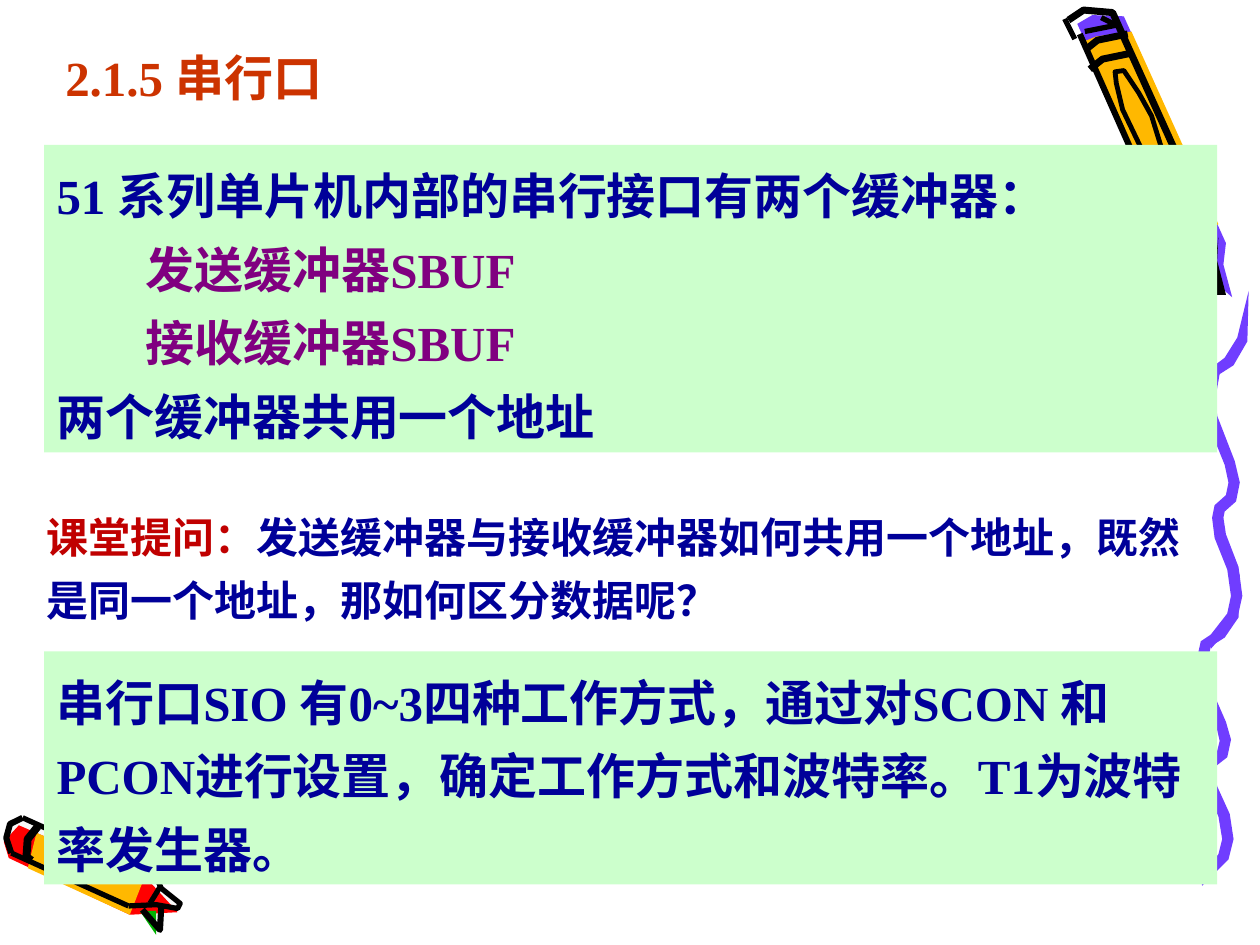
from math import hypot
from lxml.etree import SubElement
from pptx import Presentation
from pptx.dml.color import RGBColor
from pptx.enum.shapes import MSO_CONNECTOR, MSO_SHAPE
from pptx.enum.text import MSO_ANCHOR, MSO_AUTO_SIZE, PP_ALIGN
from pptx.oxml.ns import qn
from pptx.util import Pt

VIOLET, AMBER, RED, LEAF, WHITE, BLACK = "703DFF", "FFB800", "FF0000", "00B200", "F8F8F8", "000000"
NAVY, PURPLE, ORANGE, CRIMSON = "000099", "800080", "CC3300", "C00000"
MINT, PAPER = "CCFFCC", "FFFFFF"
LATIN, CHINESE = "Times New Roman", "Noto Sans CJK SC"
UNIT = Pt(0.72)


def color(value):
    return RGBColor.from_string(value)


def draw(group, points, fill=None, pen=None):
    builder = group.shapes.build_freeform(*points[0], scale=UNIT)
    builder.add_line_segments(points[1:], close=pen is None)
    shape = builder.convert_to_shape()
    shape.shadow.inherit = False
    if pen:
        shape.fill.background()
        shape.line.color.rgb = color(BLACK)
        shape.line.width = Pt(pen)
    else:
        shape.fill.solid()
        shape.fill.fore_color.rgb = color(fill)
        shape.line.fill.background()


deck = Presentation()
deck.slide_width, deck.slide_height = Pt(720), Pt(540)
page = deck.slides.add_slide(deck.slide_layouts[6])
crayon, waves, pencil = [page.shapes.add_group_shape() for drawing in range(3)]

rail_x, rail_y = 93, 42
eraser_top, eraser_bottom = (18, 649), (9, 677)
crayon_fills = [
    (WHITE, [(16, 649), (4, 664), (9, 676), (103, 720), (142, 718), (127, 705)]),
    (RED, [(15, 655), (119, 700), (141, 724), (103, 726), (7, 681), (3, 668)]),
    (AMBER, [(22, 689), (103, 726), (114, 698), (29, 661)]),
    (LEAF, [(124, 723), (124, 742), (111, 723)]),
]
for fill, points in crayon_fills:
    draw(crayon, points, fill)
for x, y in (eraser_top, eraser_bottom):
    draw(crayon, [(x, y), (x + rail_x, y + rail_y)], pen=3)
crayon_strokes = {
    "eraser end": (3.5, [eraser_top, (8, 654), (5, 665), eraser_bottom]),
    "collar": (4.5, [(30, 656), (22, 666), (21, 680), (25, 683)]),
    "sharpened end": (3, [(102, 719), (124, 718), (141, 721), (143, 717), (128, 705), (122, 692)]),
    "facet": (3, [(127, 704), (119, 717)]),
    "nib": (3.5, [(113, 722), (127, 738), (128, 719)]),
}
for pen, points in crayon_strokes.values():
    draw(crayon, points, pen=pen)

wave_edge = [(960, 505), (974, 487), (977, 473), (974, 452), (964, 427), (962, 411), (964, 401),
             (973, 393), (975, 383), (972, 369), (957, 332), (956, 313), (960, 293), (972, 284),
             (982, 268), (991, 231)]
wave_width = 9
far_edge = []
for (x, y), before, after in zip(wave_edge[1:], wave_edge, wave_edge[2:]):
    run, rise = after[0] - before[0], after[1] - before[1]
    reach = wave_width / hypot(run, rise)
    far_edge.append((x - rise * reach, y + run * reach))
upper_wave = wave_edge + far_edge[::-1] + [(961, 515)]
lower_wave = [(x - 7, 455 + (y - 231) * 0.873) for x, y in upper_wave]
for wave in (lower_wave, upper_wave):
    draw(waves, wave, VIOLET)

pencil_fills = {
    "cap and point": (VIOLET, [(855, 19), (937, 200), (978, 236), (971, 210), (973, 193),
                               (892, 13), (867, 12)]),
    "shaft": (AMBER, [(860, 33), (933, 193), (967, 178), (898, 25), (870, 29)]),
    "lead": (BLACK, [(967, 188), (965, 207), (965, 234), (973, 234), (966, 207)]),
}
for fill, points in pencil_fills.values():
    draw(pencil, points, fill)
pencil_strokes = {
    "left rail": (3.5, [(857, 27), (927, 185)]),
    "right rail and top": (4, [(960, 180), (883, 10), (860, 8), (848, 16)]),
    "rim": (3, [(861, 25), (886, 20), (874, 14)]),
    "grain": (2.75, [(911, 128), (903, 112), (891, 87), (886, 66), (885, 57), (892, 56),
                     (904, 74), (914, 92), (922, 118)]),
}
for pen, points in pencil_strokes.values():
    draw(pencil, points, pen=pen)
collar = [(861, 40), (871, 32), (895, 27)]
for drop in (0, 15):
    draw(pencil, [(x + drop / 4, y + drop) for x, y in collar], pen=4)

cap_edge = pencil.shapes.add_connector(
    MSO_CONNECTOR.STRAIGHT, 845 * UNIT, 15 * UNIT, 853 * UNIT, 31 * UNIT)
cap_edge.line.color.rgb = color(BLACK)
cap_edge.line.width = Pt(3)
SubElement(cap_edge._element.spPr, qn("a:effectLst"))

blocks = [
    ((25.2, 372.24, 670.32, 133.2), MINT, 28, 1.25, [
        (0, [("串行口SIO 有0~3四种工作方式，通过对SCON 和 PCON进行设置，确定工作方式和波特率。T1为波特率发生器。",
              NAVY, LATIN)]),
    ]),
    ((30.24, 23.76, 182.88, 41.04), None, 28, 1, [
        (0, [("2.1.5 ", ORANGE, LATIN), ("串行口", ORANGE, CHINESE)]),
    ]),
    ((25.2, 82.8, 670.32, 175.68), MINT, 28, 1.25, [
        (0, [("51 系列单片机内部的串行接口有两个缓冲器：", NAVY, LATIN)]),
        (51, [("发送缓冲器SBUF", PURPLE, LATIN)]),
        (51, [("接收缓冲器SBUF", PURPLE, LATIN)]),
        (0, [("两个缓冲器共用一个地址", NAVY, LATIN)]),
    ]),
    ((19.44, 281.52, 668.88, 79.2), PAPER, 24, 1.25, [
        (0, [("课堂提问：", CRIMSON, LATIN),
             ("发送缓冲器与接收缓冲器如何共用一个地址，既然是同一个地址，那如何区分数据呢？", NAVY, LATIN)]),
    ]),
]

for place, fill, size, spacing, lines in blocks:
    place = [Pt(length) for length in place]
    if fill:
        box = page.shapes.add_shape(MSO_SHAPE.RECTANGLE, *place)
        box.shadow.inherit = False
        box.fill.solid()
        box.fill.fore_color.rgb = color(fill)
        box.line.fill.background()
    else:
        box = page.shapes.add_textbox(*place)
    frame = box.text_frame
    frame.word_wrap = True
    frame.auto_size = MSO_AUTO_SIZE.SHAPE_TO_FIT_TEXT
    frame.vertical_anchor = MSO_ANCHOR.TOP
    for number, (indent, runs) in enumerate(lines):
        para = frame.add_paragraph() if number else frame.paragraphs[0]
        para.alignment = PP_ALIGN.LEFT
        para.line_spacing = spacing
        if indent:
            para._p.get_or_add_pPr().set("marL", str(Pt(indent)))
        for text, ink, typeface in runs:
            span = para.add_run()
            span.text = text
            span.font.size = Pt(size)
            span.font.bold = True
            span.font.name = typeface
            span.font.color.rgb = color(ink)
            SubElement(span.font._element, qn("a:ea"), typeface=CHINESE)

deck.save("out.pptx")
